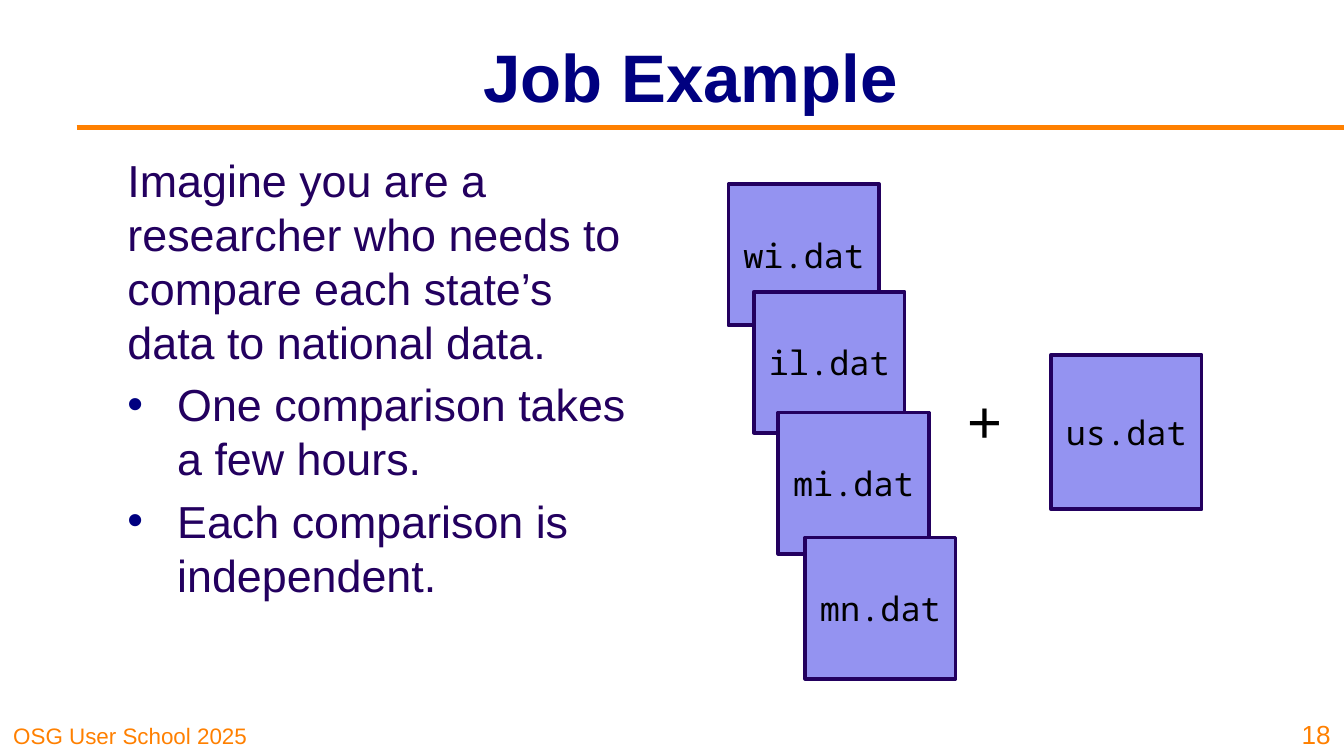
from lxml import etree
from pptx import Presentation
from pptx.dml.color import RGBColor
from pptx.enum import shapes, text
from pptx.oxml.ns import qn
from pptx.util import Inches, Pt

# Content
TITLE = "Job Example"
INTRO = "Imagine you are a researcher who needs to compare each state’s data to national data."
BULLETS = ["One comparison takes a few hours.", "Each comparison is independent."]
STATE_FILES = [("wi.dat", 5.42, 1.37), ("il.dat", 5.61, 2.17),
               ("mi.dat", 5.79, 3.07), ("mn.dat", 5.99, 4.0)]
NATIONAL_FILE = ("us.dat", 7.82, 2.64)
FOOTER, PAGE_NUMBER = "OSG User School 2025", "18"

COLORS = {"navy": "000080", "ink": "23005F", "orange": "FF8000",
          "tile": "9493F1", "black": "000000"}
FILE_WIDTH = 1.12
INDENT = 0.37


def color(name):
    return RGBColor.from_string(COLORS[name])


def add_span(para, words, size, tint, font="Arial", bold=False):
    span = para.add_run()
    span.text = words
    span.font.size = Pt(size)
    span.font.name = font
    span.font.bold = bold
    span.font.color.rgb = color(tint)


def add_label(page, words, place, size, tint, align="LEFT", anchor="TOP", wrap=True):
    frame = page.shapes.add_textbox(*map(Inches, place)).text_frame
    frame.word_wrap = wrap
    frame.vertical_anchor = text.MSO_ANCHOR[anchor]
    para = frame.paragraphs[0]
    para.alignment = text.PP_ALIGN[align]
    add_span(para, words, size, tint)


def add_bullet(para):
    props = para._p.get_or_add_pPr()
    props.set("marL", str(Inches(INDENT)))
    props.set("indent", str(-Inches(INDENT)))
    tint = etree.SubElement(props, qn("a:buClr"))
    etree.SubElement(tint, qn("a:srgbClr"), val=COLORS["navy"])
    etree.SubElement(props, qn("a:buFont"), typeface="Arial")
    etree.SubElement(props, qn("a:buChar"), char="•")


def add_file(page, name, left, top, height):
    tile = page.shapes.add_shape(shapes.MSO_SHAPE.RECTANGLE, Inches(left), Inches(top),
                                 Inches(FILE_WIDTH), Inches(height))
    tile.shadow.inherit = False
    tile.fill.solid()
    tile.fill.fore_color.rgb = color("tile")
    tile.line.color.rgb = color("ink")
    tile.line.width = Pt(2)
    frame = tile.text_frame
    frame.word_wrap = False
    frame.vertical_anchor = text.MSO_ANCHOR.MIDDLE
    para = frame.paragraphs[0]
    para.alignment = text.PP_ALIGN.CENTER
    add_span(para, name, 18, "black", "Noto Sans Mono")


def main():
    deck = Presentation()
    deck.slide_width = Inches(10)
    deck.slide_height = deck.slide_width * 9 // 16
    page = deck.slides.add_slide(deck.slide_layouts[5])

    # Title and rule
    title = page.shapes.title
    title.left, title.top, title.width, title.height = map(Inches, (1.34, 0.09, 7.6, 0.94))
    title.text_frame.vertical_anchor = text.MSO_ANCHOR.MIDDLE
    para = title.text_frame.paragraphs[0]
    para.alignment = text.PP_ALIGN.CENTER
    add_span(para, TITLE, 36, "navy", bold=True)

    rule = page.shapes.add_connector(shapes.MSO_CONNECTOR.STRAIGHT, Inches(0.57),
                                     Inches(0.95), Inches(10), Inches(0.95))
    rule.line.color.rgb = color("orange")
    rule.line.width = Pt(3)
    etree.SubElement(rule._element.spPr, qn("a:effectLst"))

    # Introduction and bullets
    frame = page.shapes.add_textbox(*map(Inches, (0.85, 1.09, 3.99, 3.84))).text_frame
    frame.word_wrap = True
    for index, words in enumerate([INTRO] + BULLETS):
        para = frame.add_paragraph() if index else frame.paragraphs[0]
        if index:
            para.space_before = Pt(4.8)
            add_bullet(para)
        add_span(para, words, 24, "ink")

    # State files, each overlapping the one before, plus the national file
    for name, left, top in STATE_FILES:
        add_file(page, name, left, top, 1.05)
    add_label(page, "+", (7.1, 2.81, 0.58, 0.64), 32, "black", wrap=False)
    add_file(page, *NATIONAL_FILE, 1.15)

    # Footer
    add_label(page, FOOTER, (0, 5.31, 2.48, 0.31), 12, "orange", anchor="BOTTOM")
    add_label(page, PAGE_NUMBER, (9.54, 5.25, 0.46, 0.38), 14, "orange", "RIGHT", "BOTTOM",
              wrap=False)

    deck.save("out.pptx")


if __name__ == "__main__":
    main()
